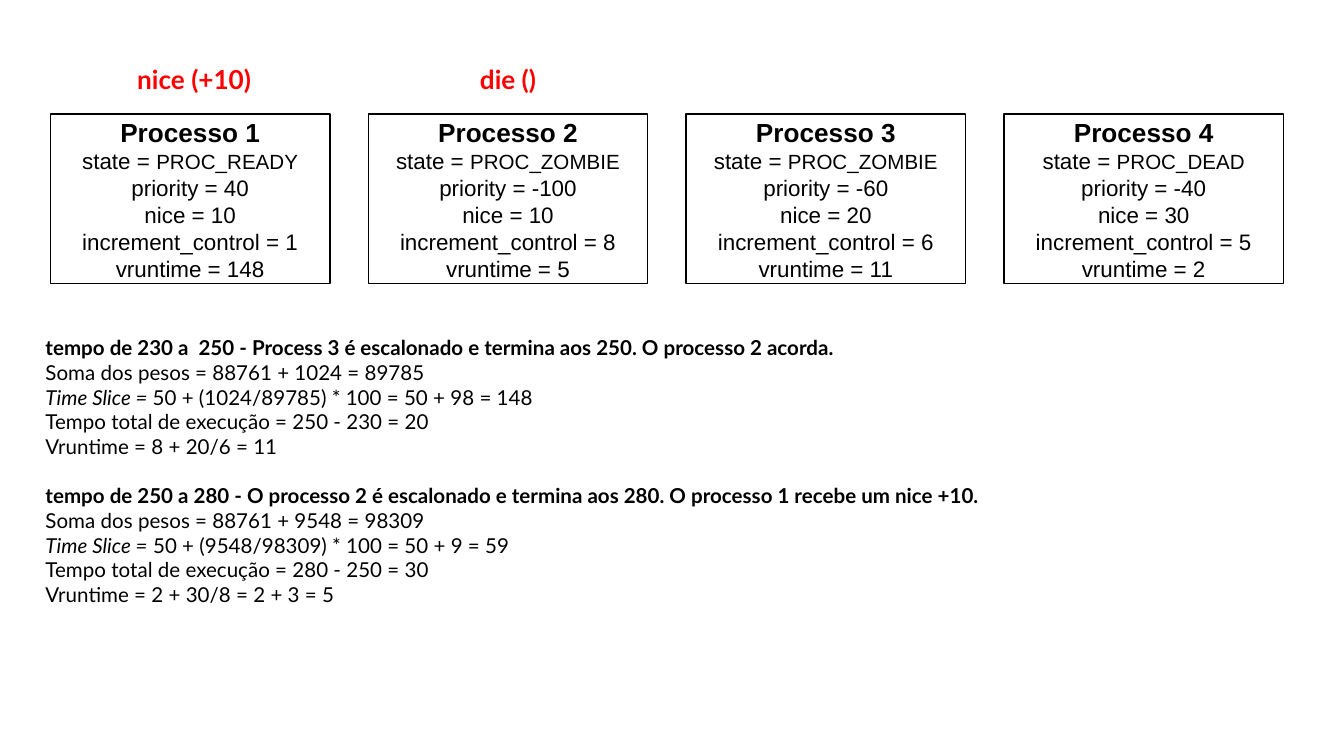
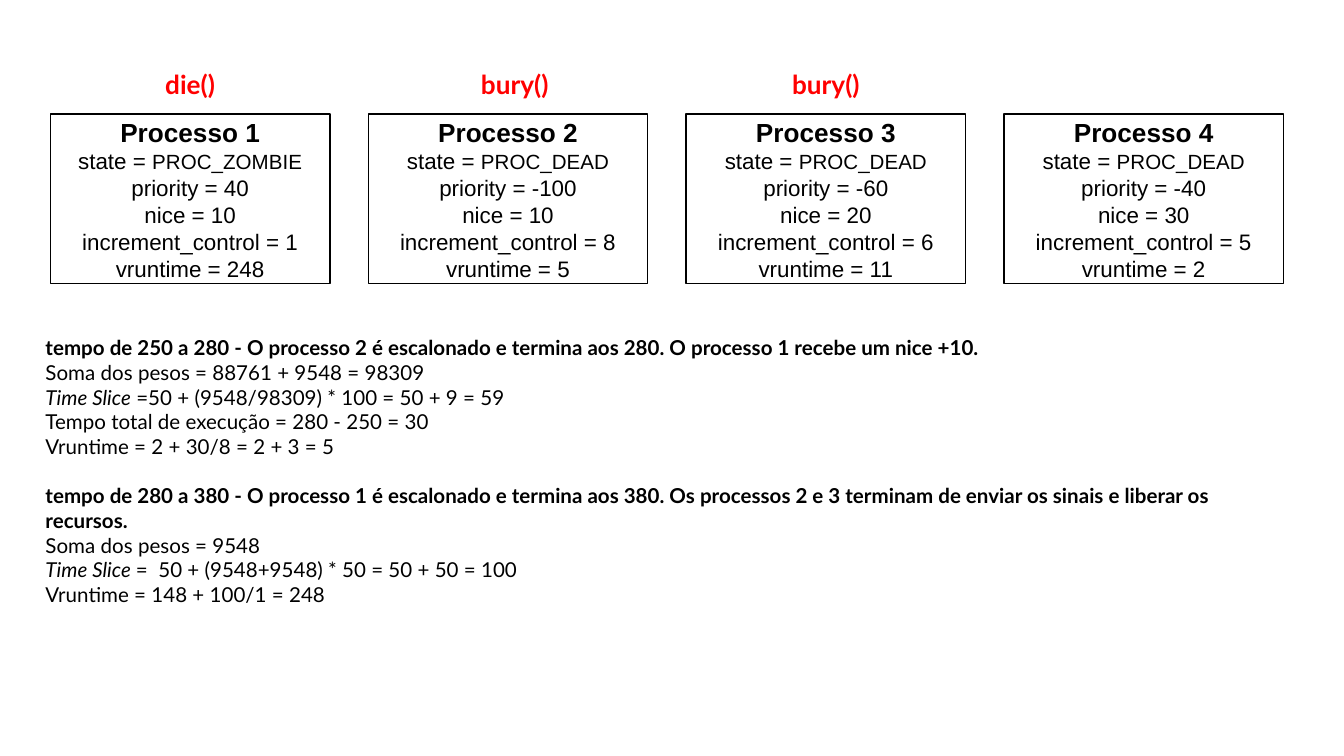
from pptx import Presentation
from pptx.dml.color import RGBColor
from pptx.enum.shapes import MSO_SHAPE
from pptx.enum.text import MSO_ANCHOR, PP_ALIGN
from pptx.util import Pt

PX = 4572  # 200 px to the inch
BLACK = RGBColor(0, 0, 0)
WHITE = RGBColor(255, 255, 255)
RED = RGBColor(255, 0, 0)
FIELDS = ["priority", "nice", "increment_control", "vruntime"]

# Each step: heading, sum of weights, time slice in two parts, remaining lines
SECOND = [
    "tempo de 250 a 280 - O processo 2 é escalonado e termina aos 280. O processo 1 recebe um nice +10.",
    "Soma dos pesos = 88761 + 9548 = 98309",
    ("Time Slice =", " 50 + (9548/98309) * 100 = 50 + 9 = 59"),
    "Tempo total de execução = 280 - 250 = 30",
    "Vruntime = 2 + 30/8 = 2 + 3 = 5",
]
SLIDES = [
    {
        "calls": [(137, 74, "nice (+10)"), (604, 74, "die ()")],
        "states": ["READY", "ZOMBIE", "ZOMBIE", "DEAD"],
        "first": 148,
        "steps": [
            [
                "tempo de 230 a  250 - Process 3 é escalonado e termina aos 250. O processo 2 acorda.",
                "Soma dos pesos = 88761 + 1024 = 89785",
                ("Time Slice = ", "50 + (1024/89785) * 100 = 50 + 98 = 148"),
                "Tempo total de execução = 250 - 230 = 20",
                "Vruntime = 8 + 20/6 = 11",
            ],
            SECOND,
        ],
    },
    {
        "calls": [(131, 82, "die()"), (614, 82, "bury()"), (1077, 82, "bury()")],
        "states": ["ZOMBIE", "DEAD", "DEAD", "DEAD"],
        "first": 248,
        "steps": [
            SECOND[:2]
            + [("Time Slice", " =50 + (9548/98309) * 100 = 50 + 9 = 59")]
            + SECOND[3:],
            [
                "tempo de 280 a 380 - O processo 1 é escalonado e termina aos 380. "
                "Os processos 2 e 3 terminam de enviar os sinais e liberar os recursos.",
                "Soma dos pesos = 9548",
                ("Time Slice ", "=  50 + (9548+9548) * 50 = 50 + 50 = 100"),
                "Vruntime = 148 + 100/1 = 248",
            ],
        ],
    },
]


def setup(shape, anchor=MSO_ANCHOR.TOP):
    """Set wrapping, insets and anchor, and return the text frame."""
    frame = shape.text_frame
    frame.word_wrap = True
    frame.vertical_anchor = anchor
    frame.margin_left = frame.margin_right = 20 * PX
    frame.margin_top = frame.margin_bottom = 20 * PX
    return frame


def write(frame, text, size=11, font="Lato", color=BLACK, bold=False,
          italic=False, align=PP_ALIGN.LEFT, gap=0, new=True):
    """Add a run, in a new paragraph unless new is False."""
    if new and frame.text:
        frame.add_paragraph()
    para = frame.paragraphs[-1]
    if new:
        para.alignment = align
        para.space_before = Pt(gap)
    run = para.add_run()
    run.text = text
    run.font.size = Pt(size)
    run.font.name = font
    run.font.color.rgb = color
    run.font.bold = bold
    run.font.italic = italic


prs = Presentation()
prs.slide_width = 2000 * PX
prs.slide_height = 1125 * PX

for data in SLIDES:
    slide = prs.slides.add_slide(prs.slide_layouts[6])
    shapes = slide.shapes

    notes = setup(shapes.add_textbox(48 * PX, 479 * PX, 1820 * PX, 606 * PX))
    for num, step in enumerate(data["steps"]):
        for row, line in enumerate(step):
            if isinstance(line, tuple):
                write(notes, line[0], italic=True)
                write(notes, line[1], new=False)
            else:
                gap = 13.2 if num and row == 0 else 0
                write(notes, line, bold=row == 0, gap=gap)

    values = [
        (40, 10, 1, data["first"]),
        (-100, 10, 8, 5),
        (-60, 20, 6, 11),
        (-40, 30, 5, 2),
    ]
    for col, (state, nums) in enumerate(zip(data["states"], values)):
        box = shapes.add_shape(MSO_SHAPE.RECTANGLE, (75 + col * 473) * PX,
                               170 * PX, 416 * PX, 252 * PX)
        box.shadow.inherit = False
        box.fill.solid()
        box.fill.fore_color.rgb = WHITE
        box.line.color.rgb = BLACK
        box.line.width = Pt(0.75)
        frame = setup(box, MSO_ANCHOR.MIDDLE)
        style = {"font": "Arial", "align": PP_ALIGN.CENTER}
        write(frame, f"Processo {col + 1}", size=14, bold=True, **style)
        write(frame, "state = ", size=12, **style)
        write(frame, f"PROC_{state}", new=False, **style)
        for field, num in zip(FIELDS, nums):
            write(frame, f"{field} = {num}", size=12, **style)

    for left, top, call in data["calls"]:
        label = shapes.add_textbox(left * PX, top * PX, 304 * PX, 58 * PX)
        write(setup(label), call, size=14, color=RED, bold=True,
              align=PP_ALIGN.CENTER)

prs.save("out.pptx")
